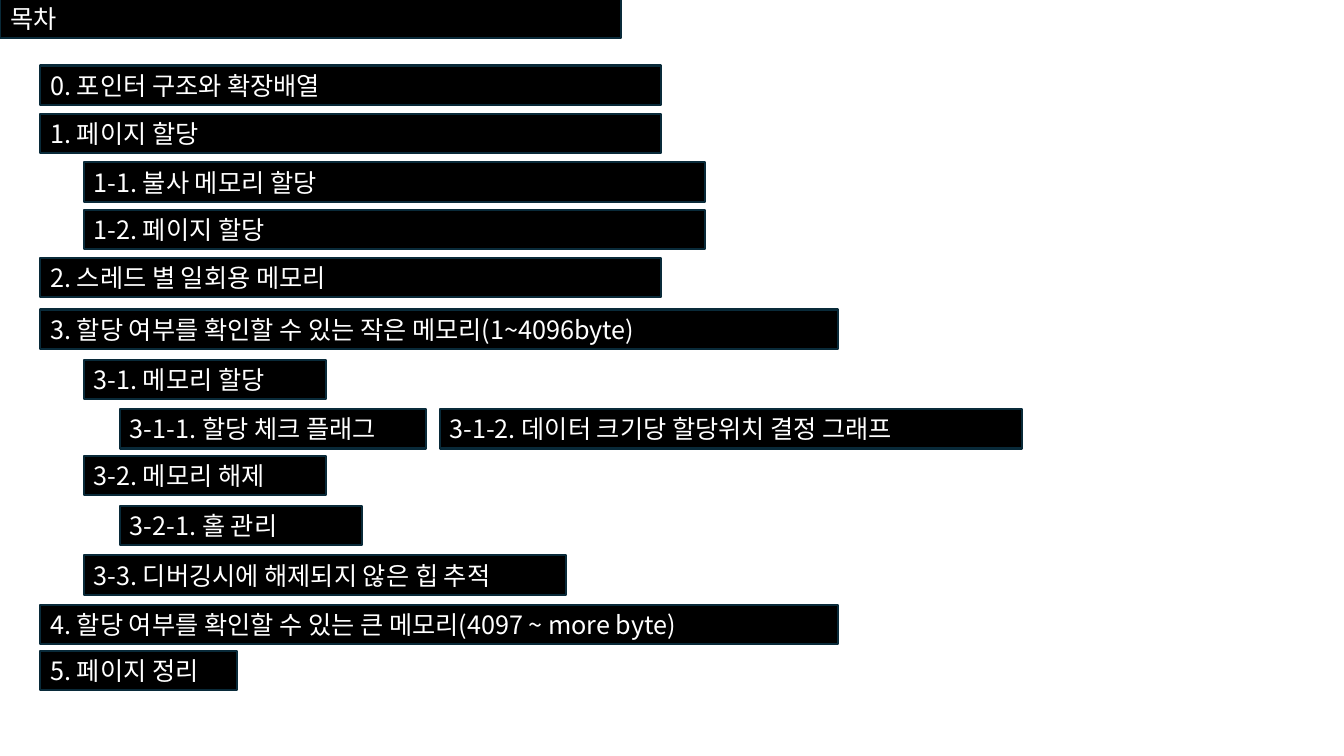
from lxml.etree import SubElement
from pptx import Presentation
from pptx.dml.color import RGBColor
from pptx.enum.shapes import MSO_SHAPE
from pptx.enum.text import MSO_ANCHOR, MSO_AUTO_SIZE, PP_ALIGN
from pptx.oxml.ns import qn
from pptx.util import Emu, Pt

PX = 9144  # EMU in one px, 100 px to the inch
FONT = "Noto Sans CJK KR"
BAR_HEIGHT = 39
INDENTS = [40, 83, 119]  # left edge by depth of the chapter number

# Each row: top, then (number, heading, width) for each bar in it
CONTENTS = [
    (65, [("0.", "포인터 구조와 확장배열", 616)]),
    (113, [("1.", "페이지 할당", 616)]),
    (161, [("1-1.", "불사 메모리 할당", 616)]),
    (208, [("1-2.", "페이지 할당", 616)]),
    (256, [("2.", "스레드 별 일회용 메모리", 616)]),
    (307, [("3.", "할당 여부를 확인할 수 있는 작은 메모리(1~4096byte)", 791)]),
    (357, [("3-1.", "메모리 할당", 240)]),
    (406, [("3-1-1.", "할당 체크 플래그", 304),
           ("3-1-2.", "데이터 크기당 할당위치 결정 그래프", 578)]),
    (452, [("3-2.", "메모리 해제", 240)]),
    (502, [("3-2-1.", "홀 관리", 240)]),
    (551, [("3-3.", "디버깅시에 해제되지 않은 힙 추적", 478)]),
    (600, [("4.", "할당 여부를 확인할 수 있는 큰 메모리(4097 ~ more byte)", 791)]),
    (646, [("5.", "페이지 정리", 195)]),
]
BAR_GAP = 13


def color(value):
    return RGBColor.from_string(value)


def write(bar, text, size=18, ink="FFFFFF", align=PP_ALIGN.LEFT):
    frame = bar.text_frame
    frame.word_wrap = True
    frame.auto_size = MSO_AUTO_SIZE.NONE
    frame.vertical_anchor = MSO_ANCHOR.MIDDLE
    paragraph = frame.paragraphs[0]
    paragraph.alignment = align
    run = paragraph.add_run()
    run.text = text
    run.font.size = Pt(size)
    run.font.color.rgb = color(ink)
    run.font.name = FONT
    # Hangul takes the East Asian typeface
    SubElement(run.font._element, qn("a:ea"), typeface=FONT)


def paint(bar):
    bar.fill.solid()
    bar.fill.fore_color.rgb = color("000000")
    bar.line.color.rgb = color("092A39")
    bar.line.width = Pt(1.5)


def add_heading(slide, left, top, width):
    heading = slide.shapes.title
    heading.left, heading.top = Emu(left * PX), Emu(top * PX)
    heading.width, heading.height = Emu(width * PX), Emu(BAR_HEIGHT * PX)
    paint(heading)
    write(heading, "목차")


def add_entry(slide, left, top, width, text):
    entry = slide.shapes.add_shape(
        MSO_SHAPE.RECTANGLE, left * PX, top * PX, width * PX, BAR_HEIGHT * PX)
    entry.shadow.inherit = False
    paint(entry)
    write(entry, text)


def add_contents(slide, left, top):
    for row_top, entries in CONTENTS:
        depth = entries[0][0].count("-")
        entry_left = left + INDENTS[depth]
        for number, heading, width in entries:
            add_entry(slide, entry_left, top + row_top, width, f"{number} {heading}")
            entry_left += width + BAR_GAP


def main():
    deck = Presentation()
    deck.slide_width, deck.slide_height = Emu(1333 * PX), Emu(750 * PX)
    slide = deck.slides.add_slide(deck.slide_layouts[5])  # title only
    add_heading(slide, 0, -1, 616)
    add_contents(slide, 0, 0)
    deck.save("out.pptx")


if __name__ == "__main__":
    main()
